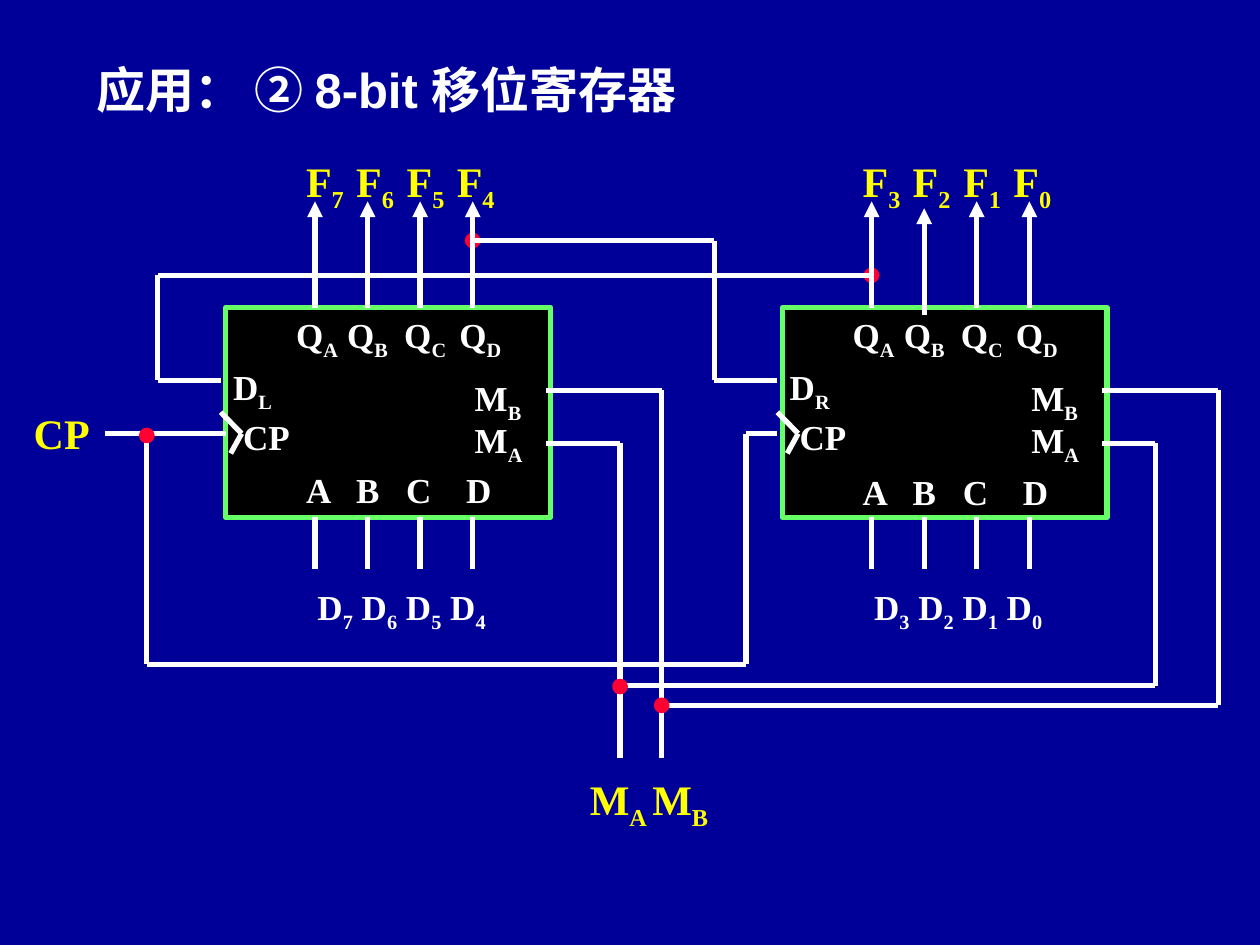
from lxml import etree
from pptx import Presentation
from pptx.dml.color import RGBColor
from pptx.enum.shapes import MSO_CONNECTOR, MSO_SHAPE
from pptx.enum.text import MSO_AUTO_SIZE
from pptx.oxml.ns import qn
from pptx.util import Cm, Pt

STRAIGHT = MSO_CONNECTOR.STRAIGHT
RECTANGLE = MSO_SHAPE.RECTANGLE
OVAL = MSO_SHAPE.OVAL
FIT_SHAPE = MSO_AUTO_SIZE.SHAPE_TO_FIT_TEXT

NAVY = RGBColor(0x00, 0x00, 0x99)
BLACK = RGBColor(0x00, 0x00, 0x00)
WHITE = RGBColor(0xFF, 0xFF, 0xFF)
YELLOW = RGBColor(0xFF, 0xFF, 0x00)
GREEN = RGBColor(0x66, 0xFF, 0x66)
RED = RGBColor(0xFF, 0x00, 0x33)

LINE_WIDTH = Pt(3)
CHIP_SHIFT = 11.22
CHIP_TOP, CHIP_BOTTOM = 6.2, 10.42
FIRST_PIN, PIN_STEP = 6.35, 1.06
DOT_SIZE = 0.21

presentation = Presentation()
presentation.slide_width = Cm(25.4)
presentation.slide_height = Cm(19.05)
slide = presentation.slides.add_slide(presentation.slide_layouts[6])
slide.background.fill.solid()
slide.background.fill.fore_color.rgb = NAVY


def add_outlined_shape(kind, left, top, width, height, fill, outline):
    shape = slide.shapes.add_shape(kind, Cm(left), Cm(top), Cm(width), Cm(height))
    shape.shadow.inherit = False
    shape.fill.solid()
    shape.fill.fore_color.rgb = fill
    shape.line.color.rgb = outline
    shape.line.width = LINE_WIDTH


def add_wire(*points, arrow=False):
    """Join the points, given in cm, with straight connectors."""
    for start, end in zip(points, points[1:]):
        connector = slide.shapes.add_connector(
            STRAIGHT, Cm(start[0]), Cm(start[1]), Cm(end[0]), Cm(end[1]))
        connector.line.color.rgb = WHITE
        connector.line.width = LINE_WIDTH
        properties = connector._element.spPr
        if arrow:
            line = properties.find(qn("a:ln"))
            etree.SubElement(line, qn("a:tailEnd"), type="triangle")
        etree.SubElement(properties, qn("a:effectLst"))


# Chips, and the two junctions that lie beneath the output wires
for shift in (0, CHIP_SHIFT):
    add_outlined_shape(RECTANGLE, 4.55 + shift, CHIP_TOP, 6.55, 4.23, BLACK, GREEN)

junctions_below = [(9.53, 4.85), (17.57, 5.55)]
junctions_above = [(2.96, 8.78), (12.5, 13.84), (13.34, 14.22)]
for x, y in junctions_below:
    add_outlined_shape(OVAL, x - DOT_SIZE / 2, y - DOT_SIZE / 2,
                       DOT_SIZE, DOT_SIZE, RED, RED)

# Pins and clock inputs
for chip, shift in enumerate((0, CHIP_SHIFT)):
    for pin in range(4):
        x = FIRST_PIN + pin * PIN_STEP + shift
        drop = 0.14 if (chip, pin) == (1, 1) else 0
        add_wire((x, CHIP_TOP + drop), (x, 4.06 + drop), arrow=True)
        add_wire((x, CHIP_BOTTOM), (x, 11.48))
    add_wire((4.45 + shift, 8.31), (4.87 + shift, 8.74), (4.65 + shift, 9.14))

# Serial links between the chips
add_wire((17.57, 5.55), (3.18, 5.55), (3.18, 7.67), (4.45, 7.67))
add_wire((9.53, 4.85), (14.4, 4.85), (14.4, 7.67), (15.67, 7.67))

# Clock
add_wire((2.12, 8.74), (4.55, 8.74))
add_wire((2.96, 8.74), (2.96, 13.39), (15.04, 13.39), (15.04, 8.74), (15.67, 8.74))

# Mode lines: pin height, left drop, bus height, right drop
for pin_y, left_x, bus_y, right_x in [(8.94, 12.5, 13.82, 23.29),
                                      (7.87, 13.34, 14.22, 24.56)]:
    add_wire((11, pin_y), (left_x, pin_y), (left_x, 15.29))
    add_wire((left_x, bus_y), (right_x, bus_y), (right_x, pin_y),
             (11 + CHIP_SHIFT, pin_y))

for x, y in junctions_above:
    add_outlined_shape(OVAL, x - DOT_SIZE / 2, y - DOT_SIZE / 2,
                       DOT_SIZE, DOT_SIZE, RED, RED)

# Labels: left, top, width, size, colour, text, tab stops.
# Underscores switch between normal and subscript text.
TITLE_SIZE, SIGNAL_SIZE, PIN_SIZE = 28, 24, 20
HEIGHTS = {TITLE_SIZE: 1.45, SIGNAL_SIZE: 1.27, PIN_SIZE: 1.09}
labels = [
    (1.7, 1.07, 21.39, TITLE_SIZE, WHITE, "应用： ② 8-bit 移位寄存器", ()),
    (0.43, 8.1, 2.11, SIGNAL_SIZE, YELLOW, "CP", ()),
    (11.64, 15.47, 2.54, SIGNAL_SIZE, YELLOW, "M_A", ()),
    (12.9, 15.47, 2.54, SIGNAL_SIZE, YELLOW, "M_B", ()),
]
for shift, digits, serial, input_top in [(0, "7654", "L", 9.32),
                                         (CHIP_SHIFT, "3210", "R", 9.37)]:
    outputs = "\t_".join(f"F_{digit}" for digit in digits)
    data = "_ ".join(f"D_{digit}" for digit in digits)
    pins = "\t_".join(f"Q_{letter}" for letter in "ABCD")
    labels += [
        (5.92 + shift, 3.02, 5.28, SIGNAL_SIZE, YELLOW, outputs, (1.01, 2.03, 3.04)),
        (5.72 + shift, 6.2, 5.92, PIN_SIZE, WHITE, pins, (1.03, 2.18, 3.29)),
        (4.45 + shift, 7.24, 2.54, PIN_SIZE, WHITE, f"D_{serial}", ()),
        (4.65 + shift, 8.26, 2.54, PIN_SIZE, WHITE, "CP", ()),
        (9.32 + shift, 7.47, 2.54, PIN_SIZE, WHITE, "M_B", ()),
        (9.32 + shift, 8.31, 2.54, PIN_SIZE, WHITE, "M_A", ()),
        (5.92 + shift, input_top, 5.28, PIN_SIZE, WHITE, "A\tB\tC\tD", (1.01, 2.02, 3.23)),
        (6.15 + shift, 11.68, 5.28, PIN_SIZE, WHITE, data, ()),
    ]

for left, top, width, size, color, text, tab_stops in labels:
    box = slide.shapes.add_textbox(Cm(left), Cm(top), Cm(width), Cm(HEIGHTS[size]))
    box.text_frame.word_wrap = True
    box.text_frame.auto_size = FIT_SHAPE
    paragraph = box.text_frame.paragraphs[0]
    if tab_stops:
        tab_list = etree.SubElement(paragraph._p.get_or_add_pPr(), qn("a:tabLst"))
        for stop in tab_stops:
            etree.SubElement(tab_list, qn("a:tab"), pos=str(Cm(stop)), algn="l")
    for index, part in enumerate(text.split("_")):
        run = paragraph.add_run()
        run.text = part
        run.font.name = "Arial" if size == TITLE_SIZE else "Times New Roman"
        run.font.size = Pt(size)
        run.font.bold = True
        run.font.color.rgb = color
        if index % 2:
            run._r.get_or_add_rPr().set("baseline", "-25000")

presentation.save("out.pptx")
